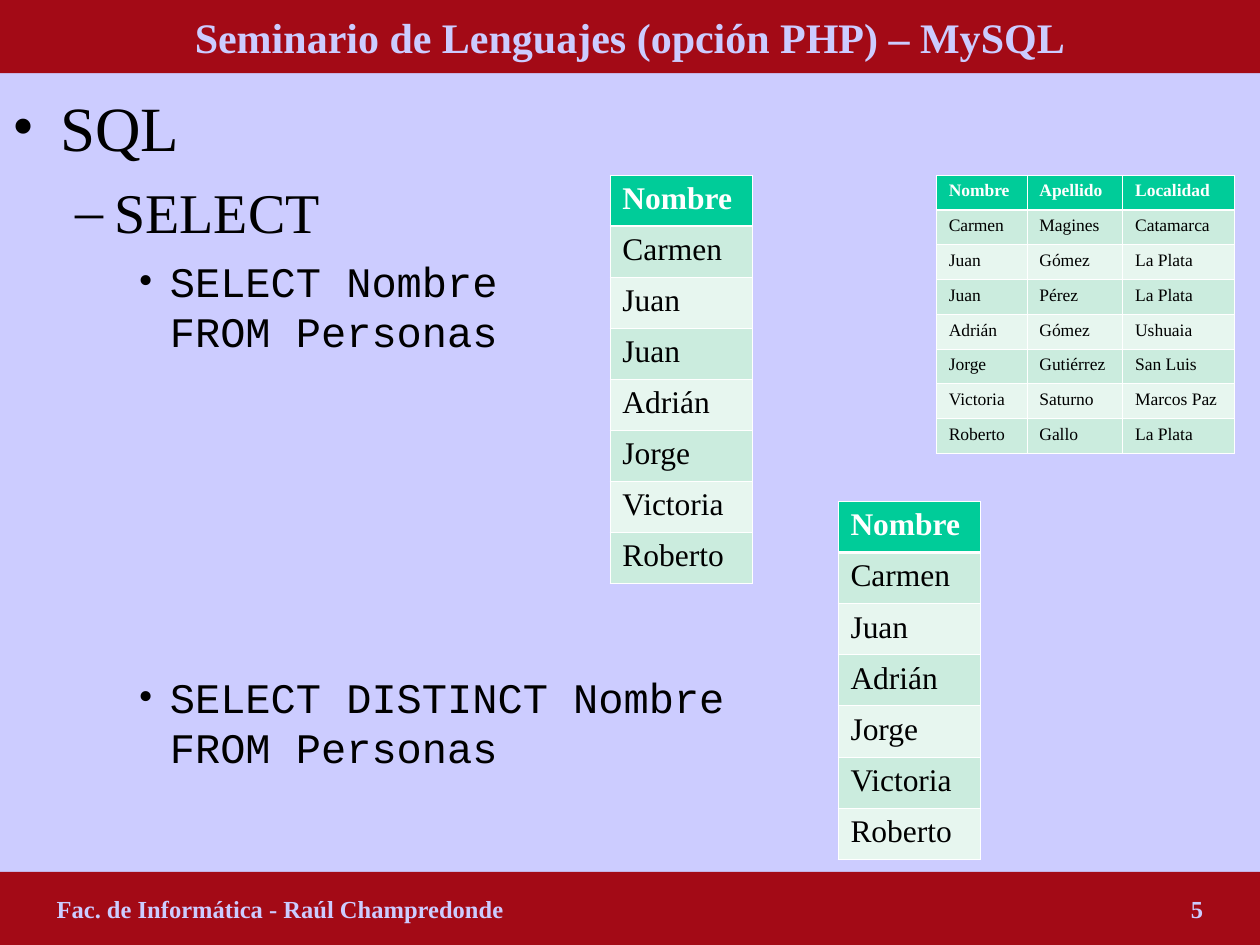
from dataclasses import dataclass
from typing import Any

from lxml import etree
from pptx import Presentation
from pptx.dml.color import RGBColor
from pptx.enum.shapes import MSO_SHAPE
from pptx.enum.text import MSO_ANCHOR, PP_ALIGN
from pptx.oxml.ns import qn
from pptx.util import Inches, Pt

RECTANGLE = MSO_SHAPE.RECTANGLE
MIDDLE = MSO_ANCHOR.MIDDLE
LEFT, CENTER = PP_ALIGN.LEFT, PP_ALIGN.CENTER

PEOPLE = [
    ("Carmen", "Magines", "Catamarca"),
    ("Juan", "Gómez", "La Plata"),
    ("Juan", "Pérez", "La Plata"),
    ("Adrián", "Gómez", "Ushuaia"),
    ("Jorge", "Gutiérrez", "San Luis"),
    ("Victoria", "Saturno", "Marcos Paz"),
    ("Roberto", "Gallo", "La Plata"),
]


def color(code):
    return RGBColor.from_string(code)


def add_child(parent, tag, **attributes):
    return etree.SubElement(parent, qn(tag), **attributes)


@dataclass
class SlideBuilder:
    page: Any
    serif: str = "Times New Roman"
    mono: str = "Courier New"
    paper: str = "CCCCFF"
    bar_fill: str = "A30A16"
    ink: str = "000000"
    white: str = "FFFFFF"
    header_fill: str = "00CC99"
    bands: tuple = ("CBECDE", "E7F6EF")

    def background(self):
        fill = self.page.background.fill
        fill.solid()
        fill.fore_color.rgb = color(self.paper)

    def span(self, para, text, size, code, font=None, bold=False):
        span = para.add_run()
        span.text = text
        span.font.name = font or self.serif
        span.font.size = Pt(size)
        span.font.bold = bold
        span.font.color.rgb = color(code)

    def bar(self, top, text, size, align=CENTER, margin=0.1, tab=None):
        box = self.page.shapes.add_shape(
            RECTANGLE, Inches(0), Inches(top), Inches(10), Inches(0.58))
        box.shadow.inherit = False
        box.fill.solid()
        box.fill.fore_color.rgb = color(self.bar_fill)
        box.line.fill.background()
        frame = box.text_frame
        frame.word_wrap = True
        frame.vertical_anchor = MIDDLE
        frame.margin_left = Inches(margin)
        para = frame.paragraphs[0]
        para.alignment = align
        if tab:
            tabs = add_child(para._p.get_or_add_pPr(), "a:tabLst")
            add_child(tabs, "a:tab", pos=str(Inches(tab)), algn="r")
        self.span(para, text, size, self.paper, bold=True)

    def outline(self, items):
        box = self.page.shapes.add_textbox(
            Inches(0), Inches(0.58), Inches(10), Inches(6.33))
        frame = box.text_frame
        frame.word_wrap = True
        frame.margin_top = Inches(0.12)
        levels = [("•", 0.38, 0.38, 36, self.serif),
                  ("–", 0.81, 0.31, 32, self.serif),
                  ("•", 1.25, 0.25, 24, self.mono)]
        for index, (level, space, lines) in enumerate(items):
            para = frame.add_paragraph() if index else frame.paragraphs[0]
            mark, indent, hanging, size, font = levels[level]
            para.level = level
            properties = para._p.get_or_add_pPr()
            properties.set("marL", str(Inches(indent)))
            properties.set("indent", str(-Inches(hanging)))
            add_child(properties, "a:buFont", typeface=self.serif)
            add_child(properties, "a:buChar", char=mark)
            para.space_before = Pt(space)
            for number, line in enumerate(lines):
                if number:
                    para.add_line_break()
                self.span(para, line, size, self.ink, font)

    def borders(self, cell, row):
        properties = cell._tc.get_or_add_tcPr()
        thick = {0: "a:lnB", 1: "a:lnT"}.get(row)
        for side in ("a:lnL", "a:lnR", "a:lnT", "a:lnB"):
            width = Pt(1.47 if side == thick else 0.45)
            line = add_child(properties, side, w=str(width))
            fill = add_child(line, "a:solidFill")
            add_child(fill, "a:srgbClr", val=self.white)

    def table(self, left, top, widths, height, size, rows):
        table = self.page.shapes.add_table(
            len(rows), len(widths), Inches(left), Inches(top),
            Inches(sum(widths)), Inches(height)).table
        table.horz_banding = False
        for column, width in zip(table.columns, widths):
            column.width = Inches(width)
        for number, values in enumerate(rows):
            header = number == 0
            fill = self.header_fill if header else self.bands[(number - 1) % 2]
            for position, value in enumerate(values):
                cell = table.cell(number, position)
                self.borders(cell, number)
                cell.fill.solid()
                cell.fill.fore_color.rgb = color(fill)
                self.span(cell.text_frame.paragraphs[0], value, size,
                          self.white if header else self.ink, bold=header)


def main():
    deck = Presentation()
    deck.slide_width, deck.slide_height = Inches(10), Inches(7.5)
    slide = SlideBuilder(deck.slides.add_slide(deck.slide_layouts[6]))
    slide.background()
    slide.outline([
        (0, 0, ["SQL"]),
        (1, 8, ["SELECT"]),
        (2, 6, ["SELECT Nombre", "FROM Personas"]),
        (2, 180, ["SELECT DISTINCT Nombre", "FROM Personas"]),
    ])
    slide.bar(0, "Seminario de Lenguajes (opción PHP) – MySQL", 24)
    slide.bar(6.92, "Fac. de Informática - Raúl Champredonde\t5", 14,
              LEFT, margin=0.45, tab=9.1)

    names = [person[0] for person in PEOPLE]
    distinct_names = list(dict.fromkeys(names))
    for left, top, height, values in ((4.84, 1.39, 3.24, names),
                                      (6.65, 3.98, 2.84, distinct_names)):
        rows = [(value,) for value in ["Nombre"] + values]
        slide.table(left, top, [1.13], height, 18, rows)
    slide.table(7.43, 1.39, [0.72, 0.76, 0.89], 2.21, 10,
                [("Nombre", "Apellido", "Localidad")] + PEOPLE)
    deck.save("out.pptx")


if __name__ == "__main__":
    main()
